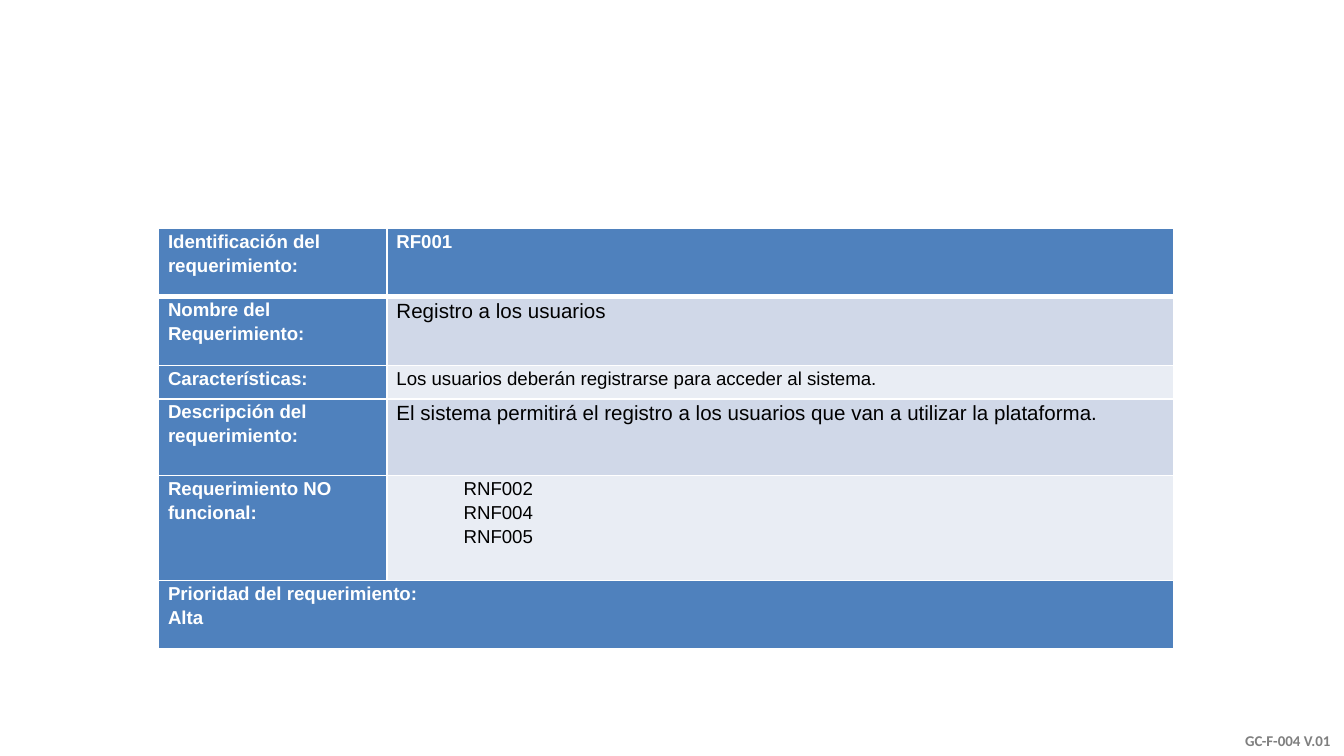
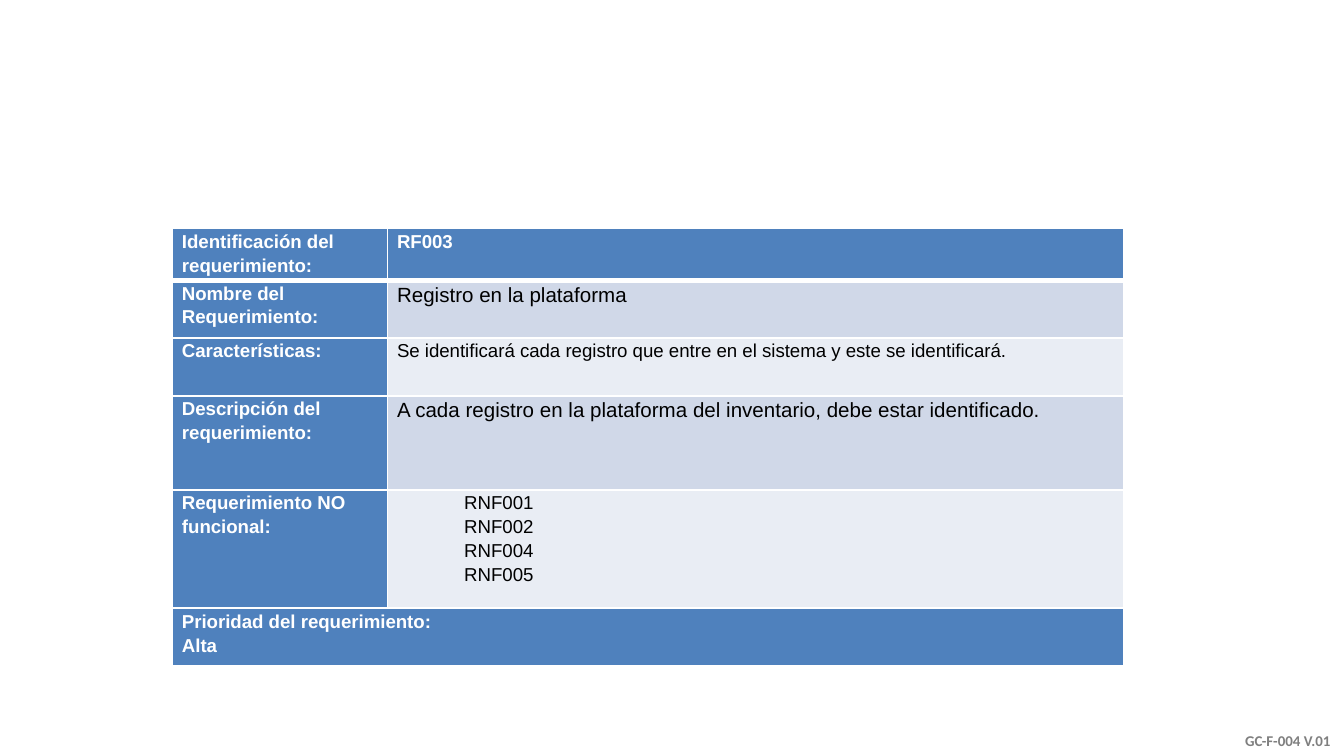
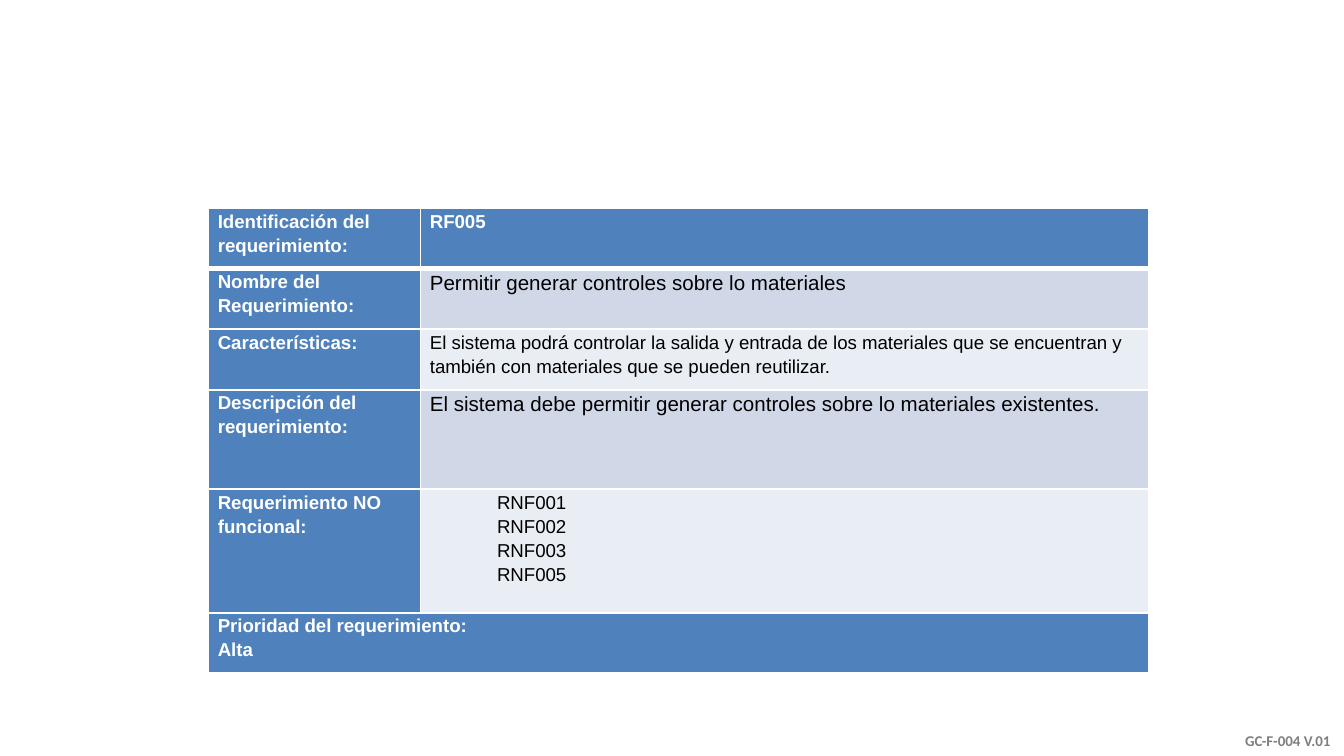
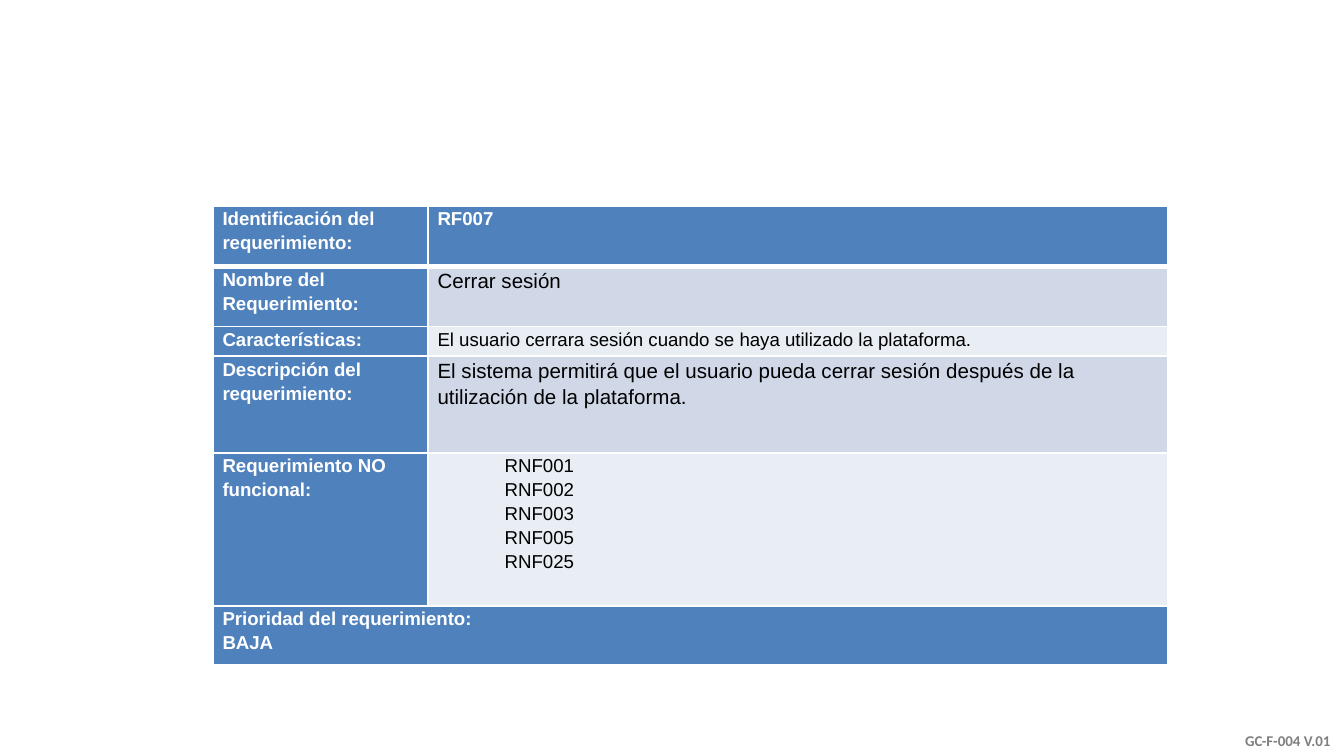
import dataclasses

import pptx
import pptx.dml.color
import pptx.enum.text
import pptx.oxml.ns
import pptx.util
from lxml import etree

Pt = pptx.util.Pt

BLUE, PALE, PALER = "4F81BD", "D0D8E8", "E9EDF4"
WHITE, BLACK, GREY = "FFFFFF", "000000", "7F7F7F"

LABELS = [
    "Identificación del requerimiento:",
    "Nombre del Requerimiento:",
    "Características:",
    "Descripción del requerimiento:",
    "Requerimiento NO funcional:",
]
PRIORITY_LABEL = "Prioridad del requerimiento:"


@dataclasses.dataclass
class Requirement:
    code: str
    name: str
    features: str
    description: str
    non_functional: list
    priority: str
    origin: tuple
    columns: tuple
    rows: tuple


REQUIREMENTS = [
    Requirement(
        "RF001", "Registro a los usuarios",
        "Los usuarios deberán registrarse para acceder al sistema.",
        "El sistema permitirá el registro a los usuarios que van a utilizar la plataforma.",
        ["RNF002", "RNF004", "RNF005"], "Alta",
        (85, 122.4), (122.4, 421.2), (36.7, 36.7, 18, 41, 56.2, 36.7)),
    Requirement(
        "RF003", "Registro en la plataforma",
        "Se identificará cada registro que entre en el sistema y este se identificará.",
        "A cada registro en la plataforma del inventario, debe estar identificado.",
        ["RNF001", "RNF002", "RNF004", "RNF005"], "Alta",
        (92.5, 122.4), (115.2, 394.6), (19.4, 31, 31, 50.4, 63.4, 31)),
    Requirement(
        "RF005", "Permitir generar controles sobre lo materiales",
        "El sistema podrá controlar la salida y entrada de los materiales que se "
        "encuentran y también con materiales que se pueden reutilizar.",
        "El sistema debe permitir generar controles sobre lo materiales existentes.",
        ["RNF001", "RNF002", "RNF003", "RNF005"], "Alta",
        (111.7, 111.6), (113.6, 390.2), (32.4, 32.4, 32.4, 53.3, 66.2, 32.4)),
    Requirement(
        "RF007", "Cerrar sesión",
        "El usuario cerrara sesión cuando se haya utilizado la plataforma.",
        "El sistema permitirá que el usuario pueda cerrar sesión después de la "
        "utilización de la plataforma.",
        ["RNF001", "RNF002", "RNF003", "RNF005", "RNF025"], "BAJA",
        (114.2, 110.2), (115.2, 396), (32.4, 32.4, 15.8, 51.8, 82.1, 31.7)),
]


def rgb(value):
    return pptx.dml.color.RGBColor.from_string(value)


def add_run(paragraph, text, size, color, bold, font="Arial"):
    run = paragraph.add_run()
    run.text = text
    run.font.name = font
    run.font.size = Pt(size)
    run.font.bold = bold
    run.font.color.rgb = rgb(color)


def set_borders(cell, top, bottom):
    """White lines on all four sides; widths in points."""
    properties = cell._tc.get_or_add_tcPr()
    for side, width in (("lnL", 1), ("lnR", 1), ("lnT", top), ("lnB", bottom)):
        line = etree.SubElement(properties, pptx.oxml.ns.qn("a:" + side), w=str(Pt(width)))
        fill = etree.SubElement(line, pptx.oxml.ns.qn("a:solidFill"))
        etree.SubElement(fill, pptx.oxml.ns.qn("a:srgbClr"), val=WHITE)


def fill_cell(cell, lines, fill, size=10, color=WHITE, bold=True, indent=0):
    cell.margin_left = cell.margin_right = Pt(5)
    cell.margin_top = cell.margin_bottom = 0
    cell.fill.solid()
    cell.fill.fore_color.rgb = rgb(fill)
    frame = cell.text_frame
    for index, line in enumerate(lines):
        paragraph = frame.add_paragraph() if index else frame.paragraphs[0]
        paragraph.line_spacing = 1.15
        if indent:
            paragraph._p.get_or_add_pPr().set("marL", str(Pt(indent)))
        add_run(paragraph, line, size, color, bold)


def add_requirement_table(slide, item):
    left, top = item.origin
    table = slide.shapes.add_table(
        len(item.rows), 2, Pt(left), Pt(top),
        Pt(sum(item.columns)), Pt(sum(item.rows))).table
    table.first_row = table.horz_banding = False
    for column, width in zip(table.columns, item.columns):
        column.width = Pt(width)
    for row, height in zip(table.rows, item.rows):
        row.height = Pt(height)

    # Thick rule below the heading row
    for index, row in enumerate(table.rows):
        for cell in row.cells:
            set_borders(cell, 3 if index == 1 else 1, 3 if index == 0 else 1)

    # Labels on the left
    for index, label in enumerate(LABELS):
        fill_cell(table.cell(index, 0), [label], BLUE)

    # Values on the right
    plain = {"color": BLACK, "bold": False}
    fill_cell(table.cell(0, 1), [item.code], BLUE)
    fill_cell(table.cell(1, 1), [item.name], PALE, size=11, **plain)
    fill_cell(table.cell(2, 1), [item.features], PALER, **plain)
    fill_cell(table.cell(3, 1), [item.description], PALE, size=11, **plain)
    fill_cell(table.cell(4, 1), item.non_functional, PALER, indent=36, **plain)

    # Priority across both columns
    priority = table.cell(5, 0)
    priority.merge(table.cell(5, 1))
    fill_cell(priority, [PRIORITY_LABEL, item.priority], BLUE)


def add_form_code(slide, left, top, width, height):
    frame = slide.shapes.add_textbox(Pt(left), Pt(top), Pt(width), Pt(height)).text_frame
    frame.word_wrap = True
    frame.vertical_anchor = pptx.enum.text.MSO_ANCHOR.BOTTOM
    paragraph = frame.paragraphs[0]
    paragraph.alignment = pptx.enum.text.PP_ALIGN.RIGHT
    add_run(paragraph, "GC-F-004 V.01", 8, GREY, True, "Calibri")


def main():
    deck = pptx.Presentation()
    deck.slide_width, deck.slide_height = Pt(720), Pt(405)
    for item in REQUIREMENTS:
        slide = deck.slides.add_slide(deck.slide_layouts[6])
        add_form_code(slide, 602.6, 374.4, 117.4, 30.6)
        add_requirement_table(slide, item)
    deck.save("out.pptx")


if __name__ == "__main__":
    main()
